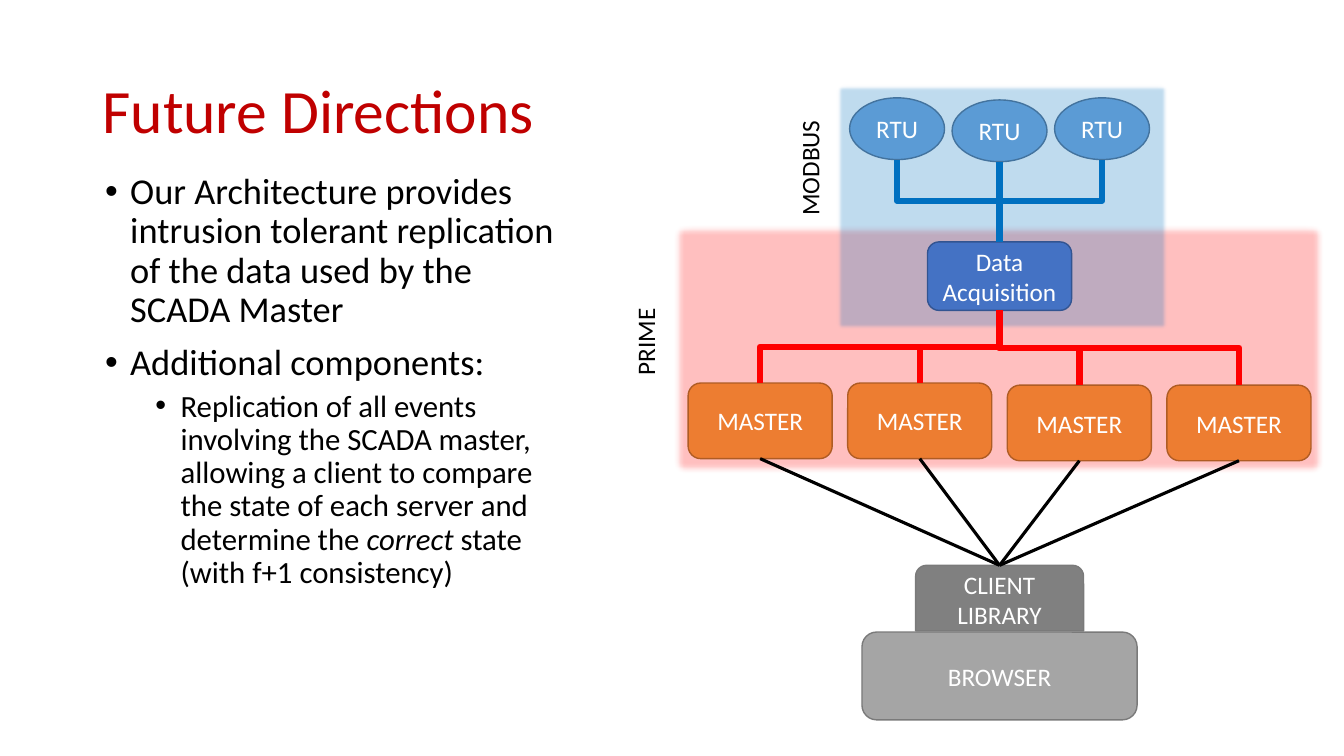
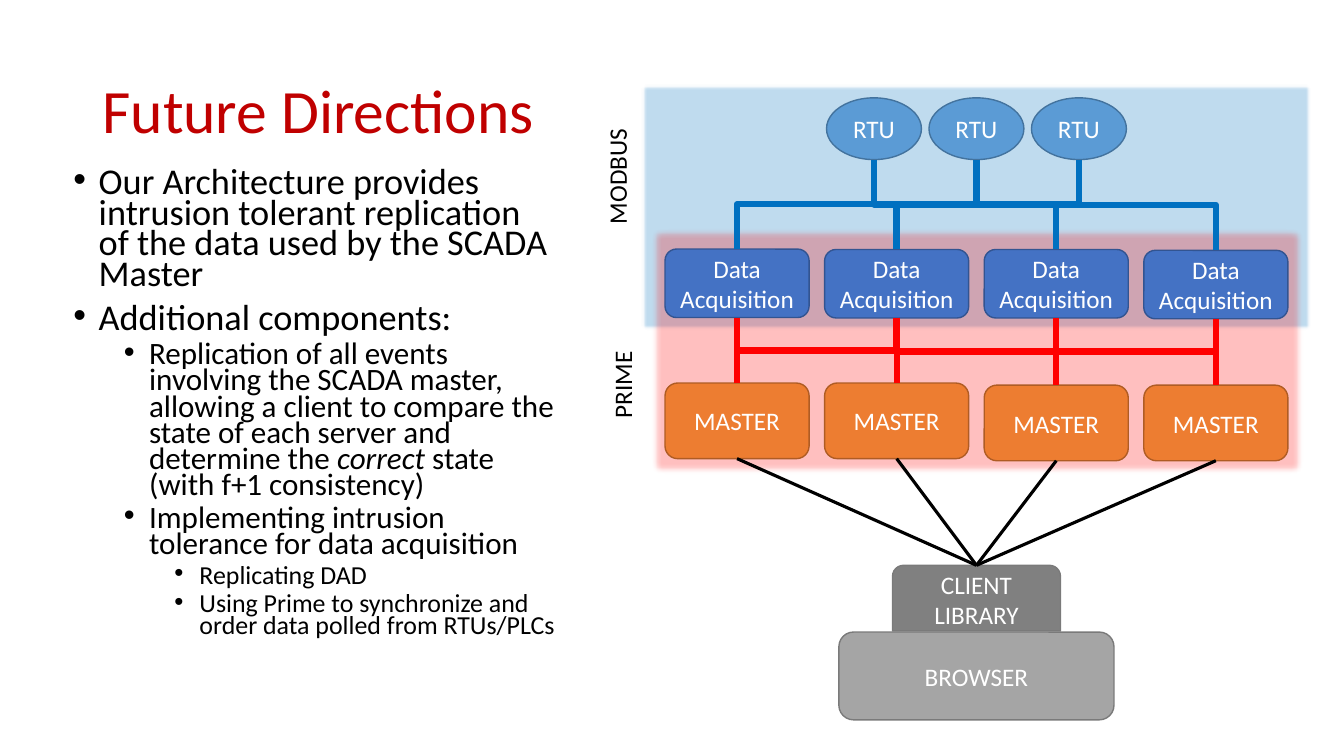
"""Build two slides on replicating a control system, each a list beside a diagram."""
import dataclasses
import typing

import lxml.etree
import pptx
import pptx.dml.color
import pptx.enum.shapes
import pptx.enum.text
import pptx.oxml.ns
import pptx.util

COLS, ROWS = 32, 18
CELL = pptx.util.Inches(7.5) / ROWS
FONT = "Calibri"
HUES = {
    "title": "C00000", "text": "000000", "white": "FFFFFF",
    "prime": "FF0000", "modbus": "0070C0", "edge": "43739E",
    "rtu": "5B9BD5", "data": "4472C4", "data edge": "325491",
    "master": "ED7D31", "master edge": "AF5C24",
    "browser": "A5A5A5", "client": "808080", "gray edge": "7A7A7A",
}
SHAPE = pptx.enum.shapes.MSO_SHAPE
LINK = pptx.enum.shapes.MSO_CONNECTOR
ALIGN = pptx.enum.text.PP_ALIGN
ANCHOR = pptx.enum.text.MSO_ANCHOR


class Area(typing.NamedTuple):
    """Left, top, width and height in grid cells."""
    left: float
    top: float
    wide: float
    high: float

    @property
    def mid(self) -> float:
        """Middle column."""
        return self.left + self.wide / 2

    @property
    def base(self) -> float:
        """Bottom row."""
        return self.top + self.high


@dataclasses.dataclass(frozen=True)
class Kind:
    """Look and size of one sort of node."""
    text: str
    form: int
    fill: str
    edge: str
    wide: float
    high: float
    pitch: float = 0


@dataclasses.dataclass(frozen=True)
class Band:
    """Tinted zone with soft edges and an upright label."""
    text: str
    hue: str
    area: Area
    label: Area
    blur: float


@dataclasses.dataclass(frozen=True)
class Point:
    """List entry; stars enclose italics."""
    level: int
    text: str


@dataclasses.dataclass(frozen=True)
class Page:
    """All that differs from slide to slide."""
    body: Area
    points: list[Point]
    sizes: list[float]
    space: float
    bands: list[Band]
    mid: float
    rtu_tops: list[float]
    data_tops: list[float]
    polls: list[tuple[int, int]]
    orders: list[tuple[int, int]]


RTU = Kind("RTU", SHAPE.OVAL, "rtu", "edge", 2.26, 1.47, 2.44)
DATA = Kind("Data Acquisition", SHAPE.ROUNDED_RECTANGLE, "data", "data edge", 3.43, 1.63, 3.8)
MASTER = Kind("MASTER", SHAPE.ROUNDED_RECTANGLE, "master", "master edge", 3.43, 1.8, 3.8)
BROWSER = Kind("BROWSER", SHAPE.ROUNDED_RECTANGLE, "browser", "gray edge", 6.55, 2.09)
CLIENT = Kind("CLIENT LIBRARY", SHAPE.ROUND_2_SAME_RECTANGLE, "client", "gray edge", 4, 1.56)
MASTER_TOPS = [9.12, 9.12, 9.17, 9.17]
TITLE = Area(2.2, 0.96, 27.6, 3.48)

POINTS = [
    Point(0, "Our Architecture provides intrusion tolerant replication of the data used by the SCADA Master"),
    Point(0, "Additional components:"),
    Point(1, "Replication of all events involving the SCADA master, allowing a client to compare "
             "the state of each server and determine the *correct* state (with f+1 consistency)"),
]
MORE = [
    Point(1, "Implementing intrusion tolerance for data acquisition"),
    Point(2, "Replicating DAD"),
    Point(2, "Using Prime to synchronize and order data polled from RTUs/PLCs"),
]
PAGES = [
    Page(
        Area(2.26, 4, 11.64, 13.08), POINTS, [26, 22], 0.9,
        [Band("PRIME", "prime", Area(15.98, 5.28, 15.6, 6.05), Area(13.8, 7.18, 3.07, 0.91), 5),
         Band("MODBUS", "modbus", Area(19.9, 2, 7.9, 5.86), Area(17.71, 3.38, 3.07, 0.91), 2.5)],
        23.8, [2.33, 2.38, 2.33], [5.76],
        [(0, 0), (1, 0), (2, 0)], [(0, i) for i in range(4)],
    ),
    Page(
        Area(1.51, 3.94, 11.95, 13.44), POINTS + MORE, [25.9, 22.2, 18.5], 0.7,
        [Band("MODBUS", "modbus", Area(15.26, 2, 15.96, 5.86), Area(13.13, 3.58, 3.07, 0.91), 2.5),
         Band("PRIME", "prime", Area(15.46, 5.38, 15.6, 5.95), Area(13.25, 8.21, 3.07, 0.91), 5)],
        23.25, [2.33] * 3, [5.93, 5.94, 5.94, 5.96],
        [(0, 1), (1, 1), (2, 1), (1, 0), (2, 2), (2, 3)],
        [(1, i) for i in range(4)] + [(0, 0), (2, 2), (3, 3)],
    ),
]


def grid(*cells: float) -> list[int]:
    """Turn grid cells into lengths."""
    return [round(c * CELL) for c in cells]


def tint(name: str) -> pptx.dml.color.RGBColor:
    """Look up a colour."""
    return pptx.dml.color.RGBColor.from_string(HUES[name])


def node(parent: typing.Any, tag: str, **marks: str) -> typing.Any:
    """Append a drawing element."""
    item = lxml.etree.SubElement(parent, pptx.oxml.ns.qn(tag))
    for key, value in marks.items():
        item.set(key, value)
    return item


def style(para: typing.Any, size: float, hue: str) -> None:
    """Set the font of a paragraph."""
    para.font.name = FONT
    para.font.size = pptx.util.Pt(size)
    para.font.color.rgb = tint(hue)


def place(shape: typing.Any, area: Area) -> None:
    """Move a shape to its area."""
    shape.left, shape.top, shape.width, shape.height = grid(*area)


def block(slide: typing.Any, form: int, area: Area, fill: str, edge: str) -> typing.Any:
    """Draw a filled and outlined shape."""
    shape = slide.shapes.add_shape(form, *grid(*area))
    shape.fill.solid()
    shape.fill.fore_color.rgb = tint(fill)
    shape.line.color.rgb = tint(edge)
    shape.line.width = pptx.util.Pt(1)
    shape.shadow.inherit = False
    return shape


def zone(slide: typing.Any, band: Band) -> None:
    """Draw a soft, clear band."""
    props = block(slide, SHAPE.RECTANGLE, band.area, band.hue, "edge").element.spPr
    node(props.find(".//" + pptx.oxml.ns.qn("a:srgbClr")), "a:alpha", val="25000")
    node(props.find(pptx.oxml.ns.qn("a:effectLst")), "a:softEdge", rad=str(pptx.util.Pt(band.blur)))


def label(slide: typing.Any, band: Band) -> None:
    """Write the upright name of a band."""
    box = slide.shapes.add_textbox(*grid(*band.label))
    box.rotation = 270
    box.text_frame.word_wrap = True
    para = box.text_frame.paragraphs[0]
    para.text = band.text
    style(para, 18, "text")


def row(slide: typing.Any, kind: Kind, mid: float, tops: list[float]) -> list[Area]:
    """Draw evenly spaced nodes about a middle column."""
    areas = []
    for i, top in enumerate(tops):
        left = mid + (i - (len(tops) - 1) / 2) * kind.pitch - kind.wide / 2
        area = Area(left, top, kind.wide, kind.high)
        frame = block(slide, kind.form, area, kind.fill, kind.edge).text_frame
        frame.word_wrap = True
        frame.vertical_anchor = ANCHOR.MIDDLE
        para = frame.paragraphs[0]
        para.text = kind.text
        para.alignment = ALIGN.CENTER
        style(para, 18, "white")
        areas.append(area)
    return areas


def wire(slide: typing.Any, top: Area, low: Area, hue: str, width: float, bent: bool) -> None:
    """Join the base of one node to the top of another."""
    x1, y1, x2, y2 = top.mid, top.base, low.mid, low.top
    bent = bent and abs(x2 - x1) > 0.05
    if bent:
        midx, midy = (x1 + x2) / 2, (y1 + y2) / 2
        half, rise = (y2 - y1) / 2, abs(x2 - x1) / 2
        turn = -1 if x2 > x1 else 1
        ends = (midx - turn * half, midy - rise, midx + turn * half, midy + rise)
    else:
        ends = (x1, y1, x2, y2)
    line = slide.shapes.add_connector(LINK.ELBOW if bent else LINK.STRAIGHT, *grid(*ends))
    line.line.color.rgb = tint(hue)
    line.line.width = pptx.util.Pt(width)
    props = line.element.spPr
    if bent:
        angle = 270 if x2 > x1 else 90
        props.find(pptx.oxml.ns.qn("a:xfrm")).set("rot", str(angle * 60000))
    node(props, "a:effectLst")


def head(slide: typing.Any) -> None:
    """Fill the title."""
    title = slide.shapes.title
    place(title, TITLE)
    frame = title.text_frame
    frame.auto_size = pptx.enum.text.MSO_AUTO_SIZE.NONE
    frame.vertical_anchor = ANCHOR.MIDDLE
    para = frame.paragraphs[0]
    para.text = "Future Directions"
    para.alignment = ALIGN.LEFT
    para.line_spacing = 0.9
    style(para, 44, "title")


def prose(slide: typing.Any, page: Page) -> None:
    """Fill the list."""
    body = slide.placeholders[1]
    place(body, page.body)
    frame = body.text_frame
    frame.auto_size = pptx.enum.text.MSO_AUTO_SIZE.NONE
    for i, point in enumerate(page.points):
        para = frame.add_paragraph() if i else frame.paragraphs[0]
        para.level = point.level
        props = para._p.get_or_add_pPr()
        props.set("marL", str(pptx.util.Inches(0.25 + 0.5 * point.level)))
        props.set("indent", str(pptx.util.Inches(-0.25)))
        node(props, "a:buFont", typeface="Arial")
        node(props, "a:buChar", char="•")
        para.line_spacing = page.space
        para.space_before = pptx.util.Pt(5 if point.level else 10)
        style(para, page.sizes[point.level], "text")
        for j, part in enumerate(point.text.split("*")):
            run = para.add_run()
            run.text = part
            if j % 2:
                run.font.italic = True


def chart(slide: typing.Any, page: Page) -> None:
    """Draw the system diagram."""
    for band in page.bands:
        zone(slide, band)
        label(slide, band)
    row(slide, BROWSER, page.mid, [15.05])
    client = row(slide, CLIENT, page.mid, [13.46])[0]
    masters = row(slide, MASTER, page.mid, MASTER_TOPS)
    data = row(slide, DATA, page.mid, page.data_tops)
    rtus = row(slide, RTU, page.mid, page.rtu_tops)
    for top, low in page.orders:
        wire(slide, data[top], masters[low], "prime", 4.5, True)
    for top, low in page.polls:
        wire(slide, rtus[top], data[low], "modbus", 4.5, True)
    for master in masters:
        wire(slide, master, client, "text", 2.25, False)


def main() -> None:
    """Build and save the deck."""
    deck = pptx.Presentation()
    deck.slide_width, deck.slide_height = grid(COLS, ROWS)
    for page in PAGES:
        slide = deck.slides.add_slide(deck.slide_layouts[1])
        head(slide)
        prose(slide, page)
        chart(slide, page)
    deck.save("out.pptx")


if __name__ == "__main__":
    main()
